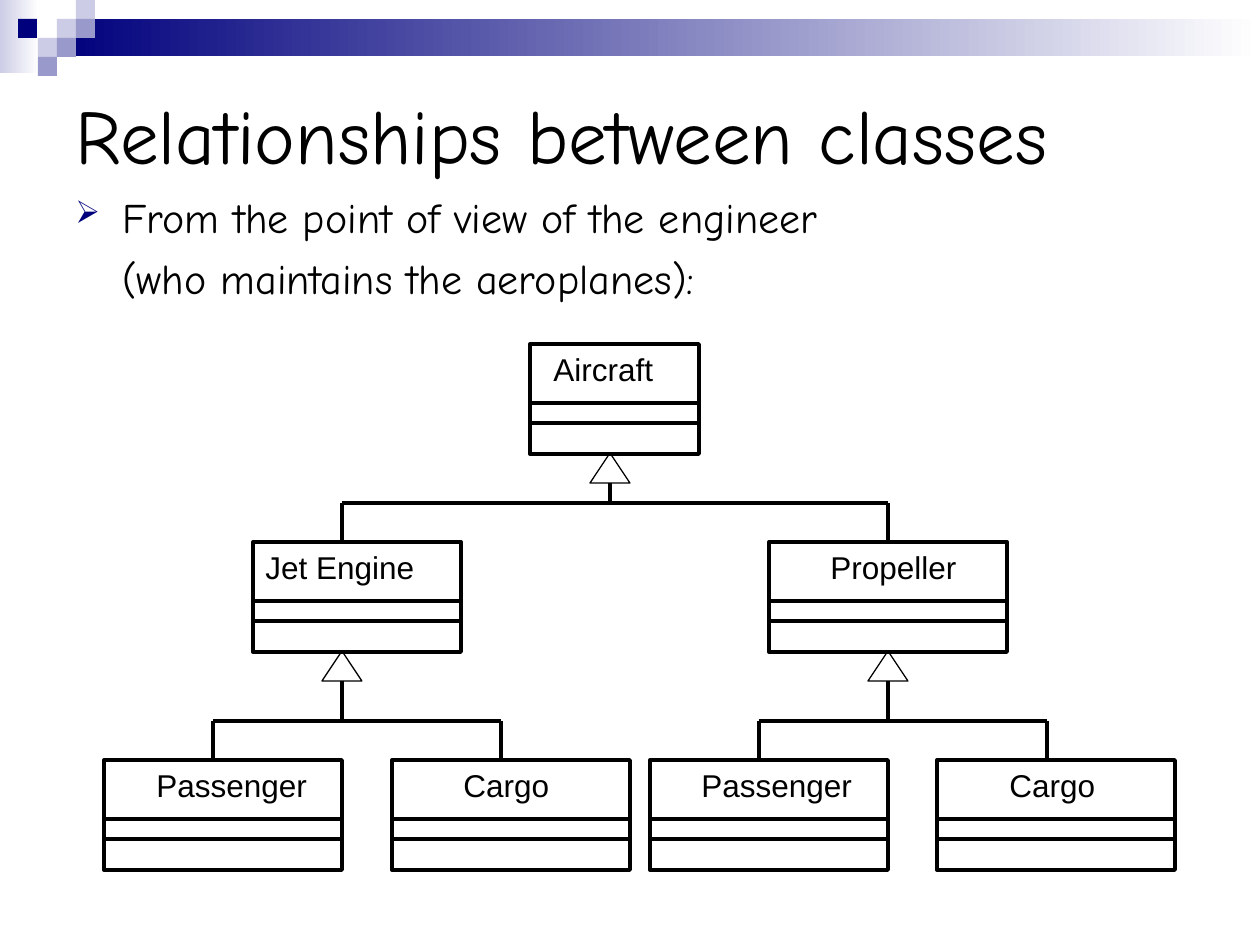
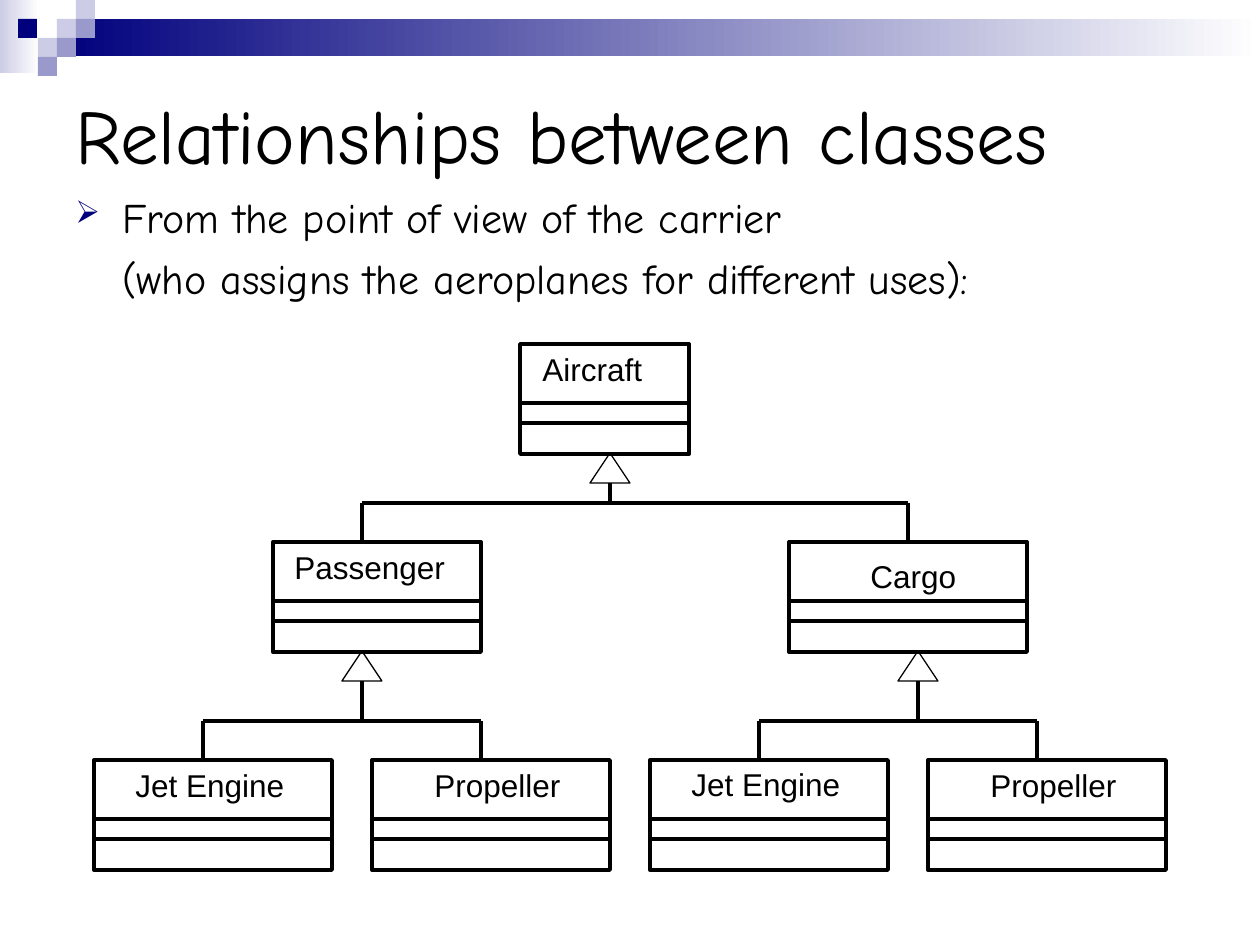
from dataclasses import dataclass

from pptx import Presentation
from pptx.dml.color import RGBColor
from pptx.enum.shapes import MSO_CONNECTOR as Connector, MSO_SHAPE as Shape
from pptx.enum.text import MSO_ANCHOR as Anchor
from pptx.oxml.ns import qn
from pptx.util import Pt
from lxml.etree import SubElement

# Shared style
EMU_PER_PX = 914400 / 126
BLACK, NAVY, LILAC, LAVENDER, WHITE = "000000", "00007D", "9999CC", "CCCCE6", "FFFFFF"
HEADING_FONT, LABEL_FONT = "Comic Neue", "Arial"
HEAVY, THIN = 2.25, 0.75
TITLE = "Relationships between classes"

# Class diagram measures
BOX_HEIGHT = 110
DIVIDERS = (59, 79)
LABEL_SIZE = (190, 50)
TRIANGLE_WIDTH, TRIANGLE_HEIGHT = 40, 30
ROOT_TOP, BRANCH_TOP, LEAF_TOP = 344, 542, 760
DROP = 39
ROOT_WIDTH, NARROW, WIDE = 169, 208, 238

# Corner squares: left, top, colour
SQUARE = 19
CORNER_SQUARES = [
    (57, 19, LAVENDER), (76, 0, LAVENDER), (76, 19, LILAC), (38, 38, LAVENDER),
    (18, 19, NAVY), (57, 38, LILAC), (38, 57, LILAC),
]


@dataclass
class ClassBox:
    name: str
    left: int
    top: int
    width: int
    label_left: int
    label_shift: int = 0


def px(length):
    return round(length * EMU_PER_PX)


def color(hex_string):
    return RGBColor.from_string(hex_string)


def add_outline(slide, kind, left, top, width, height, weight):
    shape = slide.shapes.add_shape(kind, px(left), px(top), px(width), px(height))
    shape.shadow.inherit = False
    shape.fill.background()
    shape.line.color.rgb = color(BLACK)
    shape.line.width = Pt(weight)
    return shape


def add_band(slide, left, top, width, height, start, end=None):
    """A borderless rectangle, solid or fading from start to end."""
    shape = slide.shapes.add_shape(Shape.RECTANGLE, px(left), px(top), px(width), px(height))
    shape.shadow.inherit = False
    shape.line.fill.background()
    if end is None:
        shape.fill.solid()
        shape.fill.fore_color.rgb = color(start)
    else:
        shape.fill.gradient()
        shape.fill.gradient_angle = 0
        for stop, hex_string in zip(shape.fill.gradient_stops, (start, end)):
            stop.color.rgb = color(hex_string)


def add_line(slide, x1, y1, x2, y2):
    line = slide.shapes.add_connector(Connector.STRAIGHT, px(x1), px(y1), px(x2), px(y2))
    line.line.color.rgb = color(BLACK)
    line.line.width = Pt(HEAVY)
    SubElement(line._element.spPr, qn("a:effectLst"))
    return line


def add_text(slide, lines, left, top, width, height, size, font, anchor=Anchor.TOP):
    box = slide.shapes.add_textbox(px(left), px(top), px(width), px(height))
    frame = box.text_frame
    frame.word_wrap = True
    frame.vertical_anchor = anchor
    frame.text = "\n".join(lines)
    for paragraph in frame.paragraphs:
        paragraph.font.size = Pt(size)
        paragraph.font.name = font
        paragraph.font.color.rgb = color(BLACK)
    return frame


def add_bullet(paragraph, indent):
    properties = paragraph._p.get_or_add_pPr()
    properties.set("indent", str(-px(indent)))
    bullet_color = SubElement(properties, qn("a:buClr"))
    SubElement(bullet_color, qn("a:srgbClr"), val=NAVY)
    SubElement(properties, qn("a:buSzPct"), val="75000")
    SubElement(properties, qn("a:buChar"), char="➢")


def add_header(slide):
    add_band(slide, 0, 0, 39, 73, LAVENDER, WHITE)
    add_band(slide, 57, 19, 1203, 37, NAVY, WHITE)
    for left, top, fill in CORNER_SQUARES:
        add_band(slide, left, top, SQUARE, SQUARE, fill)
    add_text(slide, [TITLE], 63, 63, 1134, 141, 44, HEADING_FONT, Anchor.MIDDLE)


def add_viewpoint(slide, lines):
    """One bulleted line with an aligned line under it."""
    indent = 47
    frame = add_text(slide, lines, 63, 185, 1134, 140, 24, HEADING_FONT)
    for paragraph in frame.paragraphs:
        paragraph.space_before = Pt(6)
        paragraph._p.get_or_add_pPr().set("marL", str(px(indent)))
    add_bullet(frame.paragraphs[0], indent)


def add_class_box(slide, box):
    shape = add_outline(slide, Shape.RECTANGLE, box.left, box.top, box.width, BOX_HEIGHT, HEAVY)
    for offset in DIVIDERS:
        y = box.top + offset
        add_line(slide, box.left, y, box.left + box.width, y)
    add_text(slide, [box.name], box.label_left, box.top + box.label_shift, *LABEL_SIZE,
             18, LABEL_FONT)
    return shape


def add_inheritance(slide, parent_top, apex_x, children):
    """Triangle under the parent, then a bus with a drop to each (box, shape, x)."""
    triangle_top = parent_top + BOX_HEIGHT - 1
    bus_y = children[0][0].top - DROP
    add_outline(slide, Shape.ISOSCELES_TRIANGLE, apex_x - TRIANGLE_WIDTH // 2, triangle_top,
                TRIANGLE_WIDTH, TRIANGLE_HEIGHT, THIN)
    add_line(slide, apex_x, triangle_top + TRIANGLE_HEIGHT, apex_x, bus_y)
    add_line(slide, children[0][2], bus_y, children[-1][2], bus_y)
    for box, shape, x in children:
        drop = add_line(slide, x, bus_y, x, box.top)
        if x == box.left + box.width // 2:
            drop.end_connect(shape, 0)


def add_hierarchy(slide, root, branches, leaves, apexes, drops):
    """Three levels: one root, two branches, two leaves under each branch."""
    add_class_box(slide, root)
    boxes = branches + leaves
    nodes = [(box, add_class_box(slide, box), x) for box, x in zip(boxes, drops)]
    tops = (ROOT_TOP, BRANCH_TOP, BRANCH_TOP)
    for index, (top, apex_x) in enumerate(zip(tops, apexes)):
        add_inheritance(slide, top, apex_x, nodes[2 * index:2 * index + 2])


def add_class_slide(presentation, viewpoint, **hierarchy):
    slide = presentation.slides.add_slide(presentation.slide_layouts[6])
    add_header(slide)
    add_viewpoint(slide, viewpoint)
    add_hierarchy(slide, **hierarchy)


def main():
    presentation = Presentation()
    presentation.slide_width, presentation.slide_height = px(1260), px(945)

    # Engineer: engine type first, then use
    add_class_slide(
        presentation,
        ["From the point of view of the engineer", "(who maintains the aeroplanes):"],
        root=ClassBox("Aircraft", 530, ROOT_TOP, ROOT_WIDTH, 541),
        branches=[
            ClassBox("Jet Engine", 253, BRANCH_TOP, NARROW, 253),
            ClassBox("Propeller", 769, BRANCH_TOP, WIDE, 818),
        ],
        leaves=[
            ClassBox("Passenger", 104, LEAF_TOP, WIDE, 144),
            ClassBox("Cargo", 392, LEAF_TOP, WIDE, 451),
            ClassBox("Passenger", 650, LEAF_TOP, WIDE, 689),
            ClassBox("Cargo", 937, LEAF_TOP, WIDE, 997),
        ],
        apexes=(610, 342, 888),
        drops=(342, 888, 213, 501, 759, 1047),
    )

    # Carrier: use first, then engine type
    add_class_slide(
        presentation,
        ["From the point of view of the carrier",
         "(who assigns the aeroplanes for different uses):"],
        root=ClassBox("Aircraft", 520, ROOT_TOP, ROOT_WIDTH, 530),
        branches=[
            ClassBox("Passenger", 273, BRANCH_TOP, NARROW, 282),
            ClassBox("Cargo", 789, BRANCH_TOP, WIDE, 858, 9),
        ],
        leaves=[
            ClassBox("Jet Engine", 94, LEAF_TOP, WIDE, 123),
            ClassBox("Propeller", 372, LEAF_TOP, WIDE, 422),
            ClassBox("Jet Engine", 650, LEAF_TOP, WIDE, 679, -1),
            ClassBox("Propeller", 928, LEAF_TOP, WIDE, 978),
        ],
        apexes=(610, 362, 918),
        drops=(362, 908, 203, 481, 759, 1037),
    )
    presentation.save("out.pptx")


if __name__ == "__main__":
    main()
